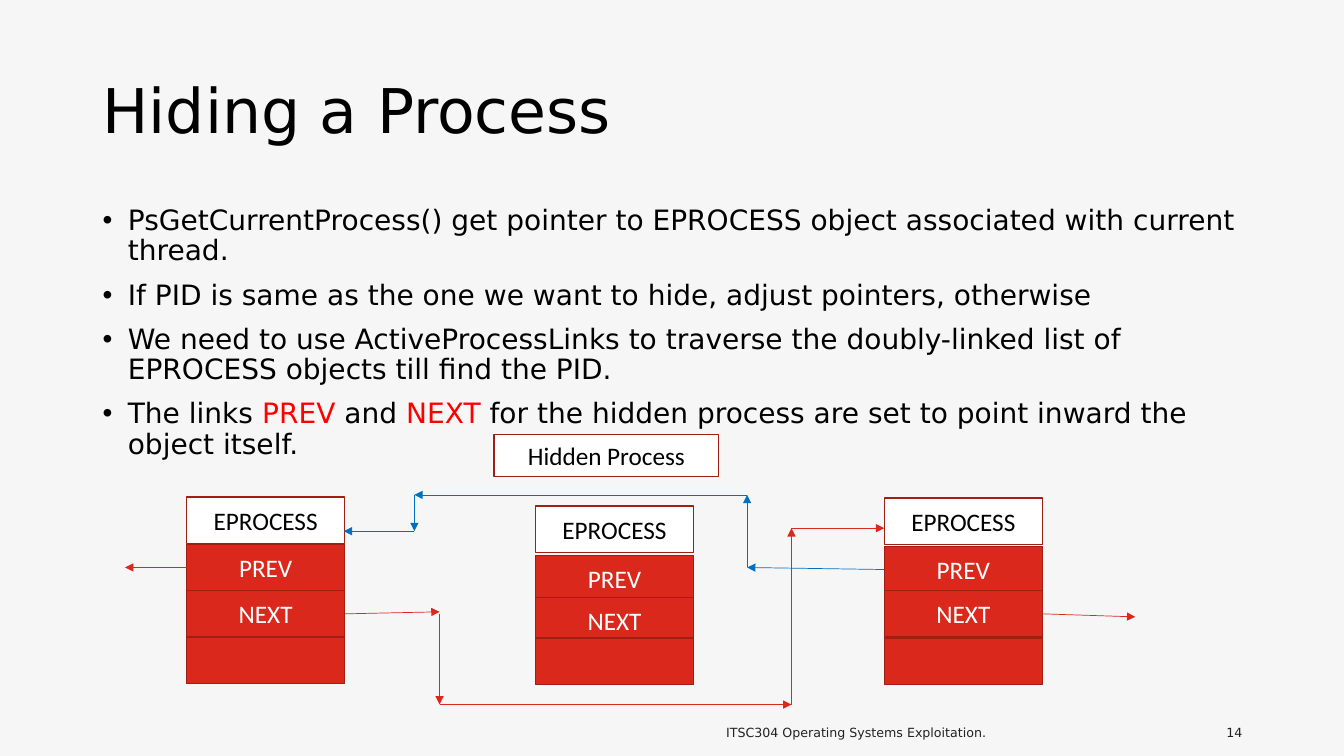
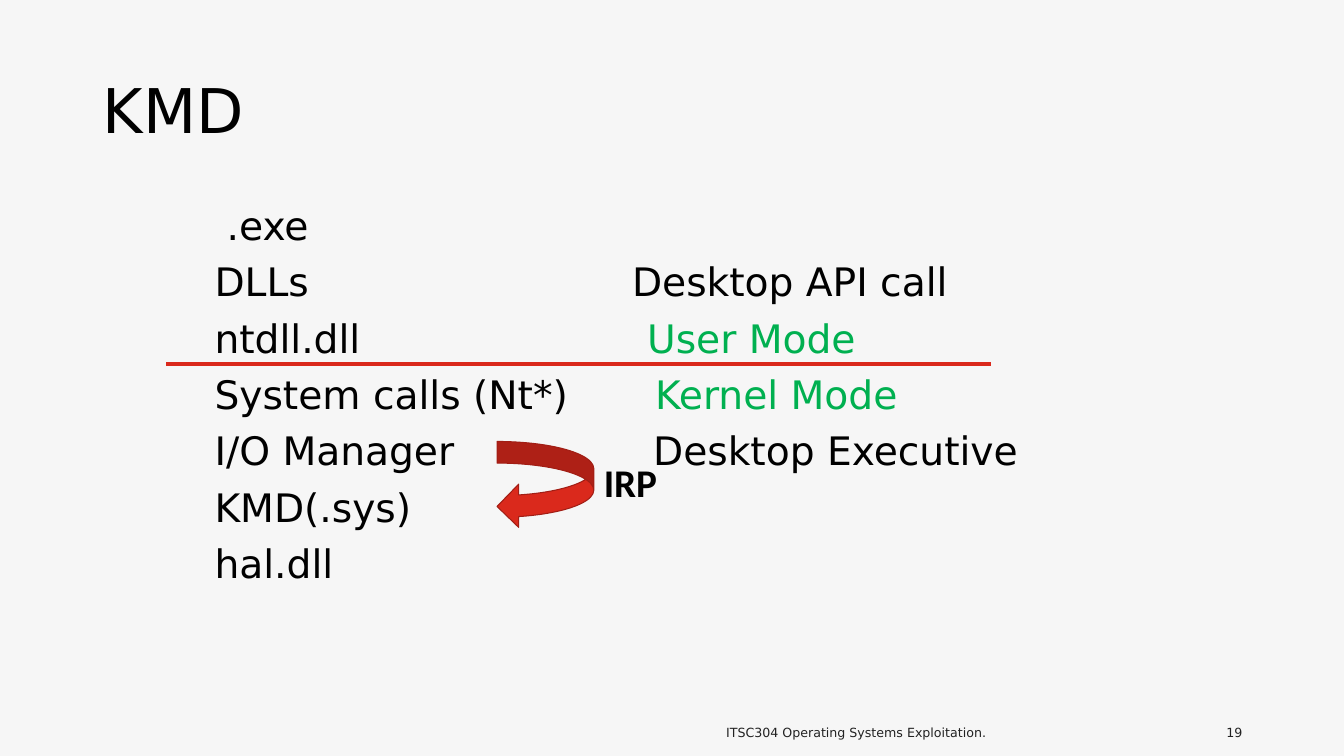
"""Build two slides on hiding a process and on kernel-mode drivers."""
from lxml import etree
from pptx import Presentation
from pptx.dml.color import RGBColor
from pptx.enum.shapes import MSO_CONNECTOR, MSO_SHAPE
from pptx.enum.text import MSO_ANCHOR, PP_ALIGN
from pptx.oxml.ns import qn
from pptx.util import Emu, Pt

PX = 9144
COLORS = {
    "background": "F6F6F6", "text": "000000", "footer": "222222",
    "white": "FFFFFF", "red": "DA291C", "edge": "A11E15",
    "highlight": "FF0000", "blue": "0070C0", "green": "00B050",
}
HEADING_FONT = "DejaVu Sans"
DIAGRAM_FONT = "Calibri"
SLOT_WIDTH, SLOT_HEIGHT = 157, 46


def px(*lengths):
    return [Emu(length * PX) for length in lengths]


def rgb(name):
    return RGBColor.from_string(COLORS[name])


def write(shape, paragraphs, size=18, font=HEADING_FONT, color="text",
          bold=False, align=PP_ALIGN.LEFT, anchor=MSO_ANCHOR.TOP,
          spacing=None, before=0, bullet=False, indents=None, wrap=True):
    frame = shape.text_frame
    frame.word_wrap = wrap
    frame.vertical_anchor = anchor
    for index, runs in enumerate(paragraphs):
        paragraph = frame.paragraphs[0] if index == 0 else frame.add_paragraph()
        properties = paragraph._p.get_or_add_pPr()
        if bullet:
            properties.set("marL", str(25 * PX))
            properties.set("indent", str(-25 * PX))
            etree.SubElement(properties, qn("a:buFont")).set("typeface", "Arial")
            etree.SubElement(properties, qn("a:buChar")).set("char", "•")
        elif indents:
            properties.set("marL", str(indents[index] * PX))
        paragraph.alignment = align
        if spacing:
            paragraph.line_spacing = spacing
        if index and before:
            paragraph.space_before = Pt(before)
        for words, run_color in [(runs, color)] if isinstance(runs, str) else runs:
            run = paragraph.add_run()
            run.text = words
            run.font.size = Pt(size)
            run.font.name = font
            run.font.bold = bold
            run.font.color.rgb = rgb(run_color)


def add_label(slide, box, paragraphs, **style):
    write(slide.shapes.add_textbox(*px(*box)), paragraphs, **style)


def add_figure(slide, preset, box, fill, width=1):
    figure = slide.shapes.add_shape(preset, *px(*box))
    figure.shadow.inherit = False
    figure.fill.solid()
    figure.fill.fore_color.rgb = rgb(fill)
    figure.line.color.rgb = rgb("edge")
    figure.line.width = Pt(width)
    return figure


def add_block(slide, box, caption, fill="red", color="white"):
    block = add_figure(slide, MSO_SHAPE.RECTANGLE, box, fill)
    if caption:
        write(block, [caption], font=DIAGRAM_FONT, color=color,
              align=PP_ALIGN.CENTER, anchor=MSO_ANCHOR.MIDDLE)
    return block


def add_line(slide, start, end, color="red", width=0.5, arrow=True, source=None):
    line = slide.shapes.add_connector(MSO_CONNECTOR.STRAIGHT, *px(*start, *end))
    line.line.color.rgb = rgb(color)
    line.line.width = Pt(width)
    if arrow:
        etree.SubElement(line.line._get_or_add_ln(), qn("a:tailEnd")).set("type", "triangle")
    etree.SubElement(line._element.spPr, qn("a:effectLst"))
    if source:
        line.begin_connect(*source)


def add_route(slide, points, **style):
    for start, end in zip(points, points[1:]):
        add_line(slide, start, end, **style)


def add_process(slide, left, header_top, slot_tops):
    slots = [add_block(slide, (left, top, SLOT_WIDTH, SLOT_HEIGHT), caption)
             for top, caption in zip(slot_tops, ("PREV", "NEXT", ""))]
    add_block(slide, (left, header_top, SLOT_WIDTH, SLOT_HEIGHT), "EPROCESS",
              fill="white", color="text")
    return slots[:2]


def start_slide(deck, title, number):
    slide = deck.slides.add_slide(deck.slide_layouts[6])
    add_label(slide, (92, 40, 1150, 145), [title], size=44, spacing=0.9,
              anchor=MSO_ANCHOR.MIDDLE)
    footer = dict(size=9, color="footer", anchor=MSO_ANCHOR.BOTTOM)
    add_label(slide, (572, 699, 554, 40), ["ITSC304 Operating Systems Exploitation."],
              align=PP_ALIGN.CENTER, **footer)
    add_label(slide, (1146, 699, 96, 40), [number], align=PP_ALIGN.RIGHT, **footer)
    return slide


def build_hiding(deck):
    slide = start_slide(deck, "Hiding a Process", "14")
    add_label(slide, (92, 200, 1150, 476), [
        "PsGetCurrentProcess() get pointer to EPROCESS object associated with current thread.",
        "If PID is same as the one we want to hide, adjust pointers, otherwise",
        "We need to use ActiveProcessLinks to traverse the doubly-linked list of "
        "EPROCESS objects till find the PID.",
        [("The links ", "text"), ("PREV ", "highlight"), ("and ", "text"),
         ("NEXT", "highlight"),
         (" for the hidden process are set to point inward the object itself.", "text")],
    ], size=20, spacing=0.9, before=10, bullet=True)

    first_prev, first_next = add_process(slide, 185, 493, (540, 586, 632))
    add_process(slide, 531, 502, (551, 593, 633))
    last_prev, last_next = add_process(slide, 877, 494, (542, 586, 633))
    add_block(slide, (490, 431, 223, 42), "Hidden Process", fill="white", color="text")

    add_line(slide, (342, 609), (436, 607), source=(first_next, 3))
    add_route(slide, [(436, 609), (436, 699), (785, 699), (785, 524), (877, 524)])
    add_line(slide, (185, 563), (124, 563), width=0.75, source=(first_prev, 1))
    add_line(slide, (1034, 609), (1126, 612), source=(last_next, 3))
    add_line(slide, (877, 565), (741, 563), color="blue", source=(last_prev, 1))
    add_route(slide, [(741, 563), (741, 491), (411, 491), (411, 527), (341, 527)],
              color="blue")


def build_kmd(deck):
    slide = start_slide(deck, "KMD", "19")
    column = dict(size=28, spacing=0.9, before=10)
    add_label(slide, (203, 200, 450, 476), [
        ".exe", "DLLs", "ntdll.dll", "System calls (Nt*)", "I/O Manager",
        "KMD(.sys)", "hal.dll",
    ], indents=(12, 0, 0, 0, 0, 0, 0), **column)
    add_label(slide, (617, 256, 625, 240), [
        "Desktop API call", [("User Mode", "green")], [("Kernel Mode", "green")],
        "Desktop Executive",
    ], indents=(0, 15, 23, 21), **column)
    add_line(slide, (165, 361), (983, 361), width=3, arrow=False)
    add_figure(slide, MSO_SHAPE.CURVED_LEFT_ARROW, (493, 438, 96, 86), "red", width=0.75)
    add_label(slide, (589, 450, 76, 57), ["IRP"], size=28, font=DIAGRAM_FONT,
              bold=True, wrap=False)


def main():
    deck = Presentation()
    deck.slide_width, deck.slide_height = px(1333, 750)
    backdrop = deck.slide_master.background.fill
    backdrop.solid()
    backdrop.fore_color.rgb = rgb("background")
    build_hiding(deck)
    build_kmd(deck)
    deck.save("out.pptx")


if __name__ == "__main__":
    main()
